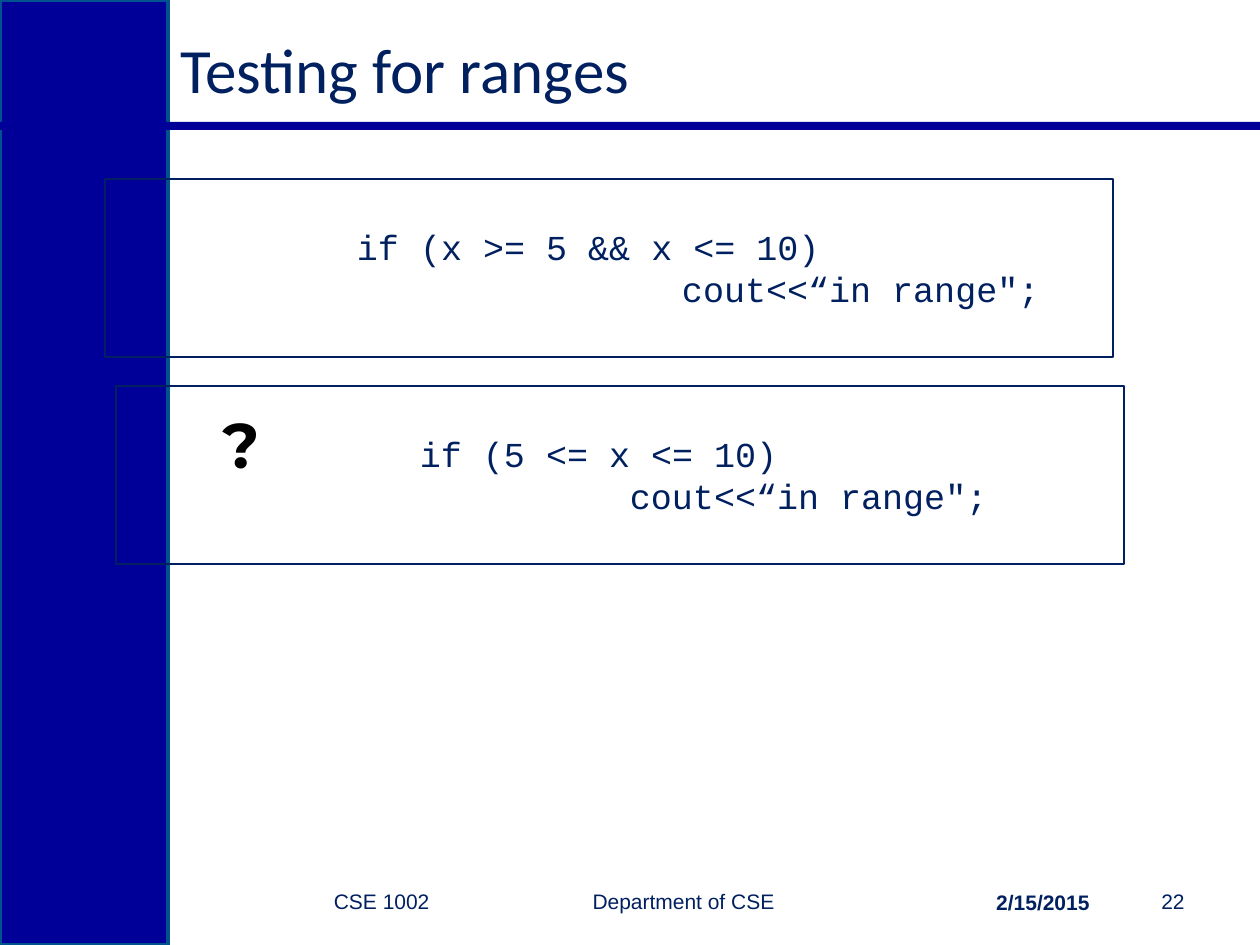
from pptx import Presentation
from pptx.dml.color import RGBColor
from pptx.enum.shapes import MSO_SHAPE
from pptx.enum.text import MSO_ANCHOR, PP_ALIGN
from pptx.util import Emu, Pt

BLUE = RGBColor(0x00, 0x00, 0x99)
EDGE = RGBColor(0x00, 0x53, 0x8E)
NAVY = RGBColor(0x00, 0x20, 0x60)
BLACK = RGBColor(0x00, 0x00, 0x00)

TITLE = {"name": "Calibri", "size": Pt(36)}
CODE = {"name": "Courier New", "size": Pt(20)}
MARK = {"name": "Montserrat", "size": Pt(36), "bold": True}
FOOTER = {"name": "Arial", "size": Pt(12)}
FOOTER_BOLD = {**FOOTER, "bold": True}


def px(n):
    return Emu(round(n * 914400 / 126))


def add_rect(s, box, fill=None, line=None, width=0):
    sp = s.shapes.add_shape(MSO_SHAPE.RECTANGLE, *map(px, box))
    sp.shadow.inherit = False
    if fill is None:
        sp.fill.background()
    else:
        sp.fill.solid()
        sp.fill.fore_color.rgb = fill
    if line is None:
        sp.line.fill.background()
    else:
        sp.line.color.rgb = line
        sp.line.width = Pt(width)
    return sp


def write(p, text, style, color, align):
    p.alignment = align
    r = p.add_run()
    r.text = text
    for key, value in style.items():
        setattr(r.font, key, value)
    r.font.color.rgb = color


def add_text(s, box, text, style, color=NAVY, align=PP_ALIGN.RIGHT,
             anchor=MSO_ANCHOR.MIDDLE, wrap=True):
    tf = s.shapes.add_textbox(*map(px, box)).text_frame
    tf.word_wrap = wrap
    tf.vertical_anchor = anchor
    write(tf.paragraphs[0], text, style, color, align)


def add_code_box(s, box, lines):
    tf = add_rect(s, box, line=NAVY, width=1.25).text_frame
    tf.word_wrap = True
    tf.vertical_anchor = MSO_ANCHOR.MIDDLE
    tf.margin_left = tf.margin_right = tf.margin_top = tf.margin_bottom = 0
    for i, (indent, text) in enumerate(lines):
        p = tf.add_paragraph() if i else tf.paragraphs[0]
        p.line_spacing = Pt(24)
        p._p.get_or_add_pPr().set("marL", str(px(indent)))
        write(p, text, CODE, NAVY, PP_ALIGN.LEFT)


def main():
    prs = Presentation()
    prs.slide_width, prs.slide_height = px(1260), px(945)
    s = prs.slides.add_slide(prs.slide_layouts[6])

    add_rect(s, (0, 0, 168, 945), BLUE, EDGE, 2)
    add_rect(s, (0, 122, 1260, 8), BLUE)
    add_text(s, (168, 21, 987, 95), "Testing for ranges", TITLE,
             align=PP_ALIGN.LEFT)

    add_code_box(s, (105, 179, 1008, 178), [
        (252, "if (x >= 5 && x <= 10)"),
        (577, "cout<<“in range\";"),
    ])
    add_code_box(s, (116, 386, 1008, 178), [
        (304, "if (5 <= x <= 10)"),
        (514, "cout<<“in range\";"),
    ])
    add_text(s, (210, 399, 38, 89), "?", MARK, BLACK, PP_ALIGN.CENTER,
             MSO_ANCHOR.TOP, False)

    for left, top, width, text, style in [
        (242, 876, 200, "CSE 1002", FOOTER),
        (537, 876, 250, "Department of CSE", FOOTER),
        (1102, 876, 95, "22", FOOTER),
        (882, 877, 220, "2/15/2015", FOOTER_BOLD),
    ]:
        add_text(s, (left, top, width, 50), text, style)

    prs.save("out.pptx")


if __name__ == "__main__":
    main()
